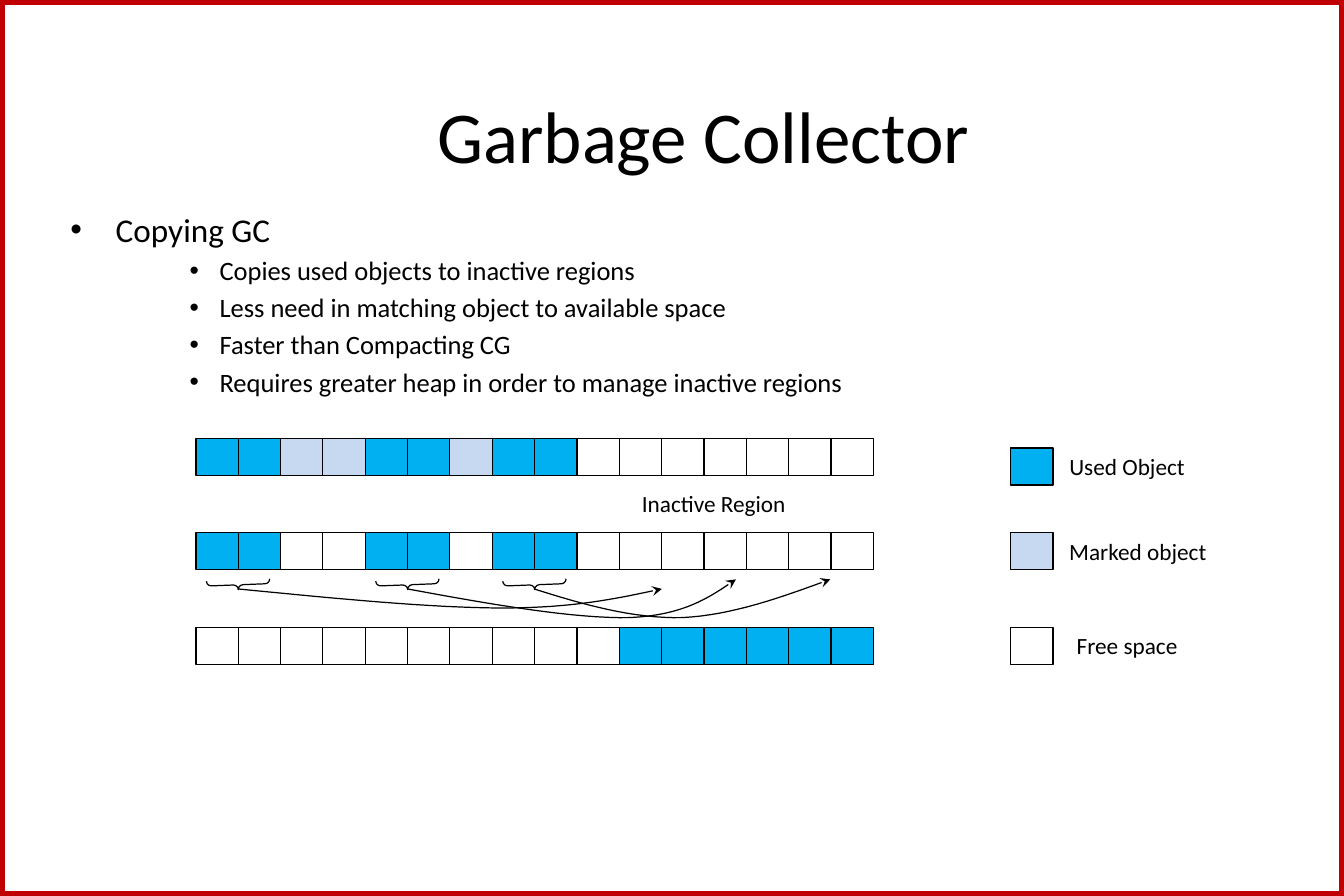
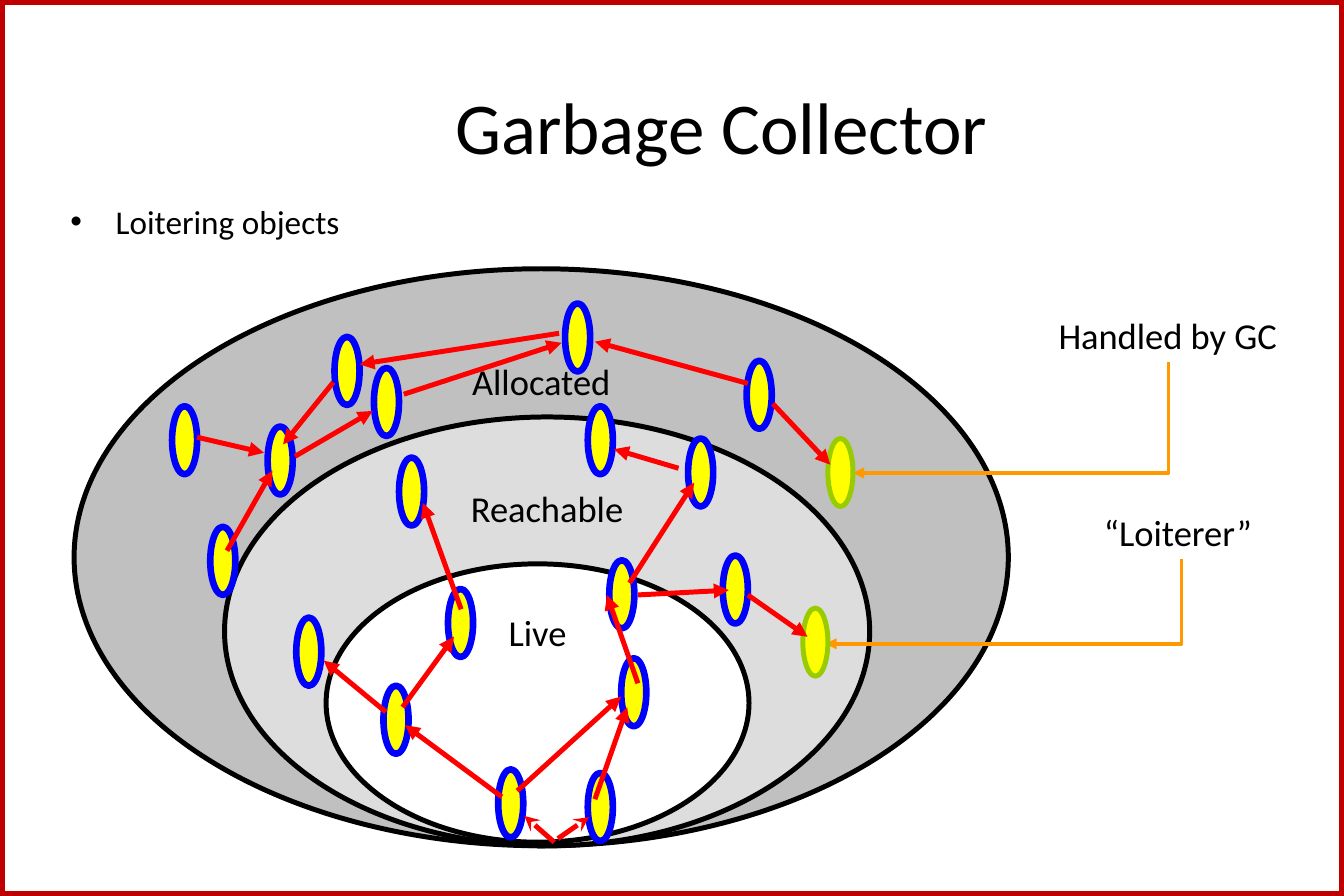
from dataclasses import dataclass

from lxml import etree
from pptx import Presentation
from pptx.dml.color import RGBColor
from pptx.enum.shapes import MSO_CONNECTOR as Connector, MSO_SHAPE as Shape
from pptx.enum.text import MSO_ANCHOR as Anchor, PP_ALIGN as Align
from pptx.oxml.ns import qn
from pptx.util import Inches, Pt


@dataclass(frozen=True)
class Theme:
    font: str = "Calibri"
    ink: str = "000000"
    white: str = "FFFFFF"
    border: str = "C00000"
    used: str = "00B0F0"
    marked: str = "C6D9F1"
    allocated: str = "C0C0C0"
    reachable: str = "DDDDDD"
    node: str = "FFFF00"
    node_line: str = "0000FF"
    loiterer_line: str = "99CC00"
    reference: str = "FF0000"
    callout: str = "FF9900"
    title_size: int = 44
    heading_size: int = 20
    item_size: int = 16
    label_size: int = 14
    diagram_size: int = 22


THEME = Theme()
WIDTH, HEIGHT = 11.25, 7.5
TITLE = "Garbage Collector"

# Slide 1 content: U = used, M = marked, F = free
COPYING_POINTS = [
    ("Copying GC", 0),
    ("Copies used objects to inactive regions", 1),
    ("Less need in matching object to available space", 1),
    ("Faster than Compacting CG", 1),
    ("Requires greater heap in order to manage inactive regions", 1),
]
CELL_FILLS = {"U": THEME.used, "M": THEME.marked, "F": THEME.white}
HEAP_ROWS = ["UUMMUUMUUFFFFFFF", "UUFFUUFUUFFFFFFF", "FFFFFFFFFFUUUUUU"]
HEAP_LEFT, HEAP_TOP, HEAP_WIDTH, ROW_STEP = 1.64, 3.67, 5.67, 0.79
CELL_STEP = HEAP_WIDTH / len(HEAP_ROWS[0])
CELL_HEIGHT = 0.31
LEGEND = [  # kind, swatch top, label left, label
    ("U", 3.75, 9.26, "Used Object"),
    ("M", 4.46, 9.35, "Marked object"),
    ("F", 5.25, 9.26, "Free space"),
]
LEGEND_LEFT = 8.46
PAIR_MIDDLES = [1, 5, 8]  # cell boundary in the middle of each used pair
MOVES = [  # Bézier points: start, then three points per segment
    [(1.99, 4.93), (2.8, 5.01), (3.62, 5.09), (4.21, 5.09),
     (4.8, 5.09), (5.17, 5.01), (5.54, 4.93)],
    [(3.41, 4.93), (4.11, 5.06), (4.81, 5.18), (5.27, 5.17),
     (5.73, 5.15), (5.94, 5), (6.16, 4.85)],
    [(4.47, 4.93), (4.88, 5.06), (5.3, 5.18), (5.71, 5.17),
     (6.13, 5.15), (6.54, 5), (6.95, 4.85)],
]

# Slide 2 content
LOITERING_POINTS = [("Loitering objects", 0)]
REGIONS = [
    ("Allocated", (0.62, 2.25, 7.82, 4.83), THEME.allocated),
    ("Reachable", (1.88, 3.49, 5.4, 3.59), THEME.reachable),
    ("Live", (2.73, 4.72, 3.54, 2.33), THEME.white),
]
CALLOUTS = [  # text, box, arrow tip, arrow start
    ("“Loiterer”", (8.61, 4.22, 2.5, 0.47), (6.91, 5.39), (9.89, 4.68)),
    ("Handled by GC", (8.41, 2.57, 2.73, 0.47), (7.14, 3.96), (9.78, 3.03)),
]
NODE_SIZE = (0.21, 0.57)
NODES = [
    (1.44, 3.4), (2.8, 2.82), (4.73, 2.54), (1.76, 4.41), (5.2, 5.51),
    (5.76, 3.67), (6.05, 4.65), (5.1, 4.69), (4.92, 6.47), (4.92, 3.4),
    (3.34, 3.83), (6.25, 3.02), (2.24, 3.57), (3.13, 3.08), (4.17, 6.44),
    (2.48, 5.17), (3.21, 5.74), (3.75, 4.93),
]
LOITERERS = [(6.93, 3.67), (6.72, 5.09)]
REFERENCES = [
    ((1.9, 4.61), (2.28, 3.94)), ((2.79, 3.2), (2.37, 3.72)),
    ((3.38, 3.3), (4.7, 2.87)), ((6.26, 3.21), (4.98, 2.86)),
    ((6.47, 3.38), (6.95, 3.89)), ((4.68, 2.79), (3.01, 3.05)),
    ((2.47, 3.82), (3.12, 3.44)), ((1.65, 3.66), (2.21, 3.79)),
    ((3.23, 5.96), (2.71, 5.53)), ((3.37, 5.92), (3.8, 5.33)),
    ((4.2, 6.67), (3.39, 6.07)), ((4.33, 6.62), (5.2, 5.83)),
    ((5.34, 5.72), (5.08, 4.98)), ((3.86, 5.1), (3.54, 4.21)),
    ((5.27, 4.88), (5.81, 4.04)), ((5.34, 4.98), (6.1, 4.94)),
    ((6.26, 4.98), (6.76, 5.33)), ((5.68, 3.92), (5.14, 3.76)),
    ((4.98, 6.69), (5.25, 5.92)),
]
ROOT_REFERENCES = [((4.64, 7.05), (4.39, 6.83)), ((4.67, 7.02), (4.93, 6.84))]


# Shared helpers
def inches(values):
    return [Inches(value) for value in values]


def color(hex_value):
    return RGBColor.from_string(hex_value)


def set_line(line, hex_value, width):
    line.color.rgb = color(hex_value)
    line.width = Pt(width)


def add_arrowhead(item, end, kind):
    etree.SubElement(item.line._get_or_add_ln(), qn(f"a:{end}"), type=kind)


def add_run(paragraph, text, size):
    run = paragraph.add_run()
    run.text = text
    run.font.name = THEME.font
    run.font.size = Pt(size)
    run.font.color.rgb = color(THEME.ink)


def write_centered(shape, text, size, anchor=Anchor.MIDDLE, wrap=True):
    frame = shape.text_frame
    frame.word_wrap = wrap
    frame.vertical_anchor = anchor
    paragraph = frame.paragraphs[0]
    paragraph.alignment = Align.CENTER
    add_run(paragraph, text, size)


def add_shape(slide, kind, box, fill=None, line=None, width=0.75):
    shape = slide.shapes.add_shape(kind, *inches(box))
    shape.shadow.inherit = False
    if fill:
        shape.fill.solid()
        shape.fill.fore_color.rgb = color(fill)
    else:
        shape.fill.background()
    if line:
        set_line(shape.line, line, width)
    else:
        shape.line.fill.background()
    return shape


def add_textbox(slide, box, text, size):
    textbox = slide.shapes.add_textbox(*inches(box))
    write_centered(textbox, text, size)


def add_label(slide, left, top, text):
    label = add_shape(slide, Shape.RECTANGLE, (left, top, 0.35, CELL_HEIGHT), THEME.white)
    write_centered(label, text, THEME.label_size, wrap=False)


def add_arrow(slide, start, end, hex_value, width, head, kind="triangle", elbow=False):
    connector = slide.shapes.add_connector(
        Connector.ELBOW if elbow else Connector.STRAIGHT, *inches(start + end))
    properties = connector._element.spPr
    if elbow:  # one right-angle turn
        properties.find(qn("a:prstGeom")).set("prst", "bentConnector2")
    set_line(connector.line, hex_value, width)
    add_arrowhead(connector, head, kind)
    etree.SubElement(properties, qn("a:effectLst"))


def add_bullets(slide, box, points, line_spacing=None):
    frame = slide.shapes.add_textbox(*inches(box)).text_frame
    frame.word_wrap = True
    levels = [(0.38, 0.38, THEME.heading_size), (1.25, 0.25, THEME.item_size)]
    for index, (text, level) in enumerate(points):
        margin, hanging, size = levels[level]
        paragraph = frame.add_paragraph() if index else frame.paragraphs[0]
        properties = paragraph._p.get_or_add_pPr()
        properties.set("marL", str(Inches(margin)))
        properties.set("indent", str(-Inches(hanging)))
        etree.SubElement(properties, qn("a:buFont"), typeface="Arial")
        etree.SubElement(properties, qn("a:buChar"), char="•")
        if index:
            paragraph.space_before = Pt(0.2 * size)
        if line_spacing:
            paragraph.line_spacing = line_spacing
        add_run(paragraph, text, size)


def new_slide(presentation, title_left, title_top):
    slide = presentation.slides.add_slide(presentation.slide_layouts[6])
    add_shape(slide, Shape.RECTANGLE, (0, 0, WIDTH, HEIGHT), line=THEME.border, width=5.5)
    add_textbox(slide, (title_left, title_top, 10.12, 1.25), TITLE, THEME.title_size)
    return slide


# Slide 1 parts
def add_cell(slide, left, top, kind):
    add_shape(slide, Shape.RECTANGLE, (left, top, CELL_STEP, CELL_HEIGHT),
              CELL_FILLS[kind], THEME.ink)


def bezier_points(points, steps=16):
    for first in range(0, len(points) - 1, 3):
        segment = points[first:first + 4]
        for step in range(1, steps + 1):
            t = step / steps
            weights = ((1 - t) ** 3, 3 * t * (1 - t) ** 2, 3 * t * t * (1 - t), t ** 3)
            yield [Inches(sum(weight * point[axis] for weight, point in zip(weights, segment)))
                   for axis in (0, 1)]


def add_move(slide, points):
    builder = slide.shapes.build_freeform(*inches(points[0]))
    builder.add_line_segments(list(bezier_points(points)), close=False)
    curve = builder.convert_to_shape()
    curve.shadow.inherit = False
    curve.fill.background()
    set_line(curve.line, THEME.ink, 0.75)
    add_arrowhead(curve, "tailEnd", "stealth")


def build_copying(presentation):
    slide = new_slide(presentation, 0.83, 0.5)
    add_bullets(slide, (0.49, 1.7, 10.63, 4.46), COPYING_POINTS)
    for row, cells in enumerate(HEAP_ROWS):
        for column, kind in enumerate(cells):
            add_cell(slide, HEAP_LEFT + column * CELL_STEP, HEAP_TOP + row * ROW_STEP, kind)
    for kind, top, label_left, text in LEGEND:
        add_label(slide, label_left, top, text)
        add_cell(slide, LEGEND_LEFT, top, kind)
    add_label(slide, 5.8, 4.06, "Inactive Region")
    for boundary in PAIR_MIDDLES:
        left = HEAP_LEFT + boundary * CELL_STEP - 0.04
        brace = add_shape(slide, Shape.LEFT_BRACE, (left, 4.63, 0.08, 0.53), line=THEME.ink)
        brace.adjustments[0] = 0.5
        brace.rotation = 267.8
    for points in MOVES:
        add_move(slide, points)


# Slide 2 parts
def build_loitering(presentation):
    slide = new_slide(presentation, 0.98, 0.42)
    add_bullets(slide, (0.49, 1.7, 10.46, 4.67), LOITERING_POINTS, line_spacing=0.8)
    for text, box, fill in REGIONS:
        region = add_shape(slide, Shape.OVAL, box, fill, THEME.ink, 3)
        write_centered(region, text, THEME.diagram_size, Anchor.TOP)
    for text, box, tip, start in CALLOUTS:
        add_arrow(slide, tip, start, THEME.callout, 2.25, "headEnd", elbow=True)
        add_textbox(slide, box, text, THEME.diagram_size)
    for positions, line, width in ((NODES, THEME.node_line, 4),
                                   (LOITERERS, THEME.loiterer_line, 3)):
        for position in positions:
            add_shape(slide, Shape.OVAL, position + NODE_SIZE, THEME.node, line, width)
    for references, kind in ((REFERENCES, "triangle"), (ROOT_REFERENCES, "stealth")):
        for start, end in references:
            add_arrow(slide, start, end, THEME.reference, 3, "tailEnd", kind)


def main():
    presentation = Presentation()
    presentation.slide_width, presentation.slide_height = inches((WIDTH, HEIGHT))
    build_copying(presentation)
    build_loitering(presentation)
    presentation.save("out.pptx")


if __name__ == "__main__":
    main()
